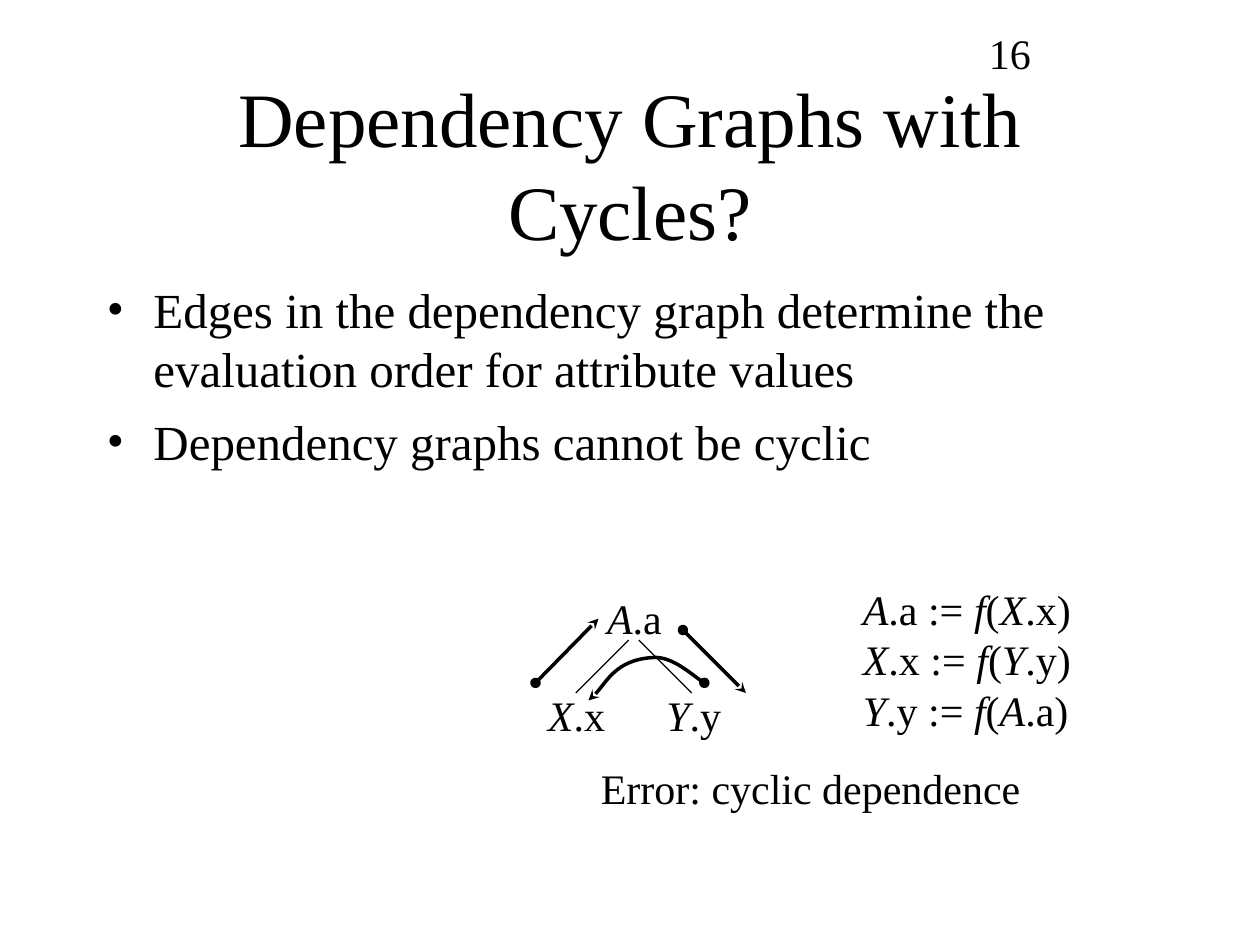
from dataclasses import dataclass
from lxml import etree
from pptx import Presentation
from pptx.dml.color import RGBColor
from pptx.enum import shapes, text
from pptx.oxml.ns import qn
from pptx.util import Inches, Pt

FONT = "Times New Roman"
COLORS = {"ink": "000000", "page": "FFFFFF"}
INK = RGBColor.from_string(COLORS["ink"])


@dataclass
class Label:
    """Text in which *stars* enclose italics."""
    lines: list[str]
    left: float
    top: float
    width: float
    height: float
    wrap: bool = False


@dataclass
class Edge:
    start: tuple[float, float]
    end: tuple[float, float]
    arrow: bool = False


def add_runs(para, line: str, size: int) -> None:
    for i, part in enumerate(line.split("*")):
        if part:
            run = para.add_run()
            run.text = part
            form = {"name": FONT, "size": Pt(size), "italic": i % 2 == 1}
            for key, value in form.items():
                setattr(run.font, key, value)
            run.font.color.rgb = INK


def add_box(slide, left: float, top: float, width: float, height: float, wrap: bool):
    box = slide.shapes.add_textbox(*map(Inches, (left, top, width, height)))
    box.text_frame.word_wrap = wrap
    return box.text_frame


def add_label(slide, item: Label) -> None:
    frame = add_box(slide, item.left, item.top, item.width, item.height, item.wrap)
    if not item.wrap:
        frame.auto_size = text.MSO_AUTO_SIZE.SHAPE_TO_FIT_TEXT
    para = frame.paragraphs[0]
    for i, line in enumerate(item.lines):
        if i:
            para.add_line_break()
        add_runs(para, line, 24)


def add_bullet(para) -> None:
    props = para._p.get_or_add_pPr()
    props.set("marL", str(Inches(0.37)))
    props.set("indent", str(-Inches(0.37)))
    etree.SubElement(props, qn("a:buFont"), typeface=FONT)
    etree.SubElement(props, qn("a:buChar"), char="•")


def style_line(shape, arrow: bool) -> None:
    shape.line.color.rgb = INK
    shape.line.width = Pt(2 if arrow else 0.75)
    if arrow:
        line = shape.line._get_or_add_ln()
        for tag, kind in (("a:headEnd", "oval"), ("a:tailEnd", "stealth")):
            etree.SubElement(line, qn(tag), type=kind)


def add_edge(slide, edge: Edge) -> None:
    ends = map(Inches, (*edge.start, *edge.end))
    line = slide.shapes.add_connector(shapes.MSO_CONNECTOR.STRAIGHT, *ends)
    style_line(line, edge.arrow)
    etree.SubElement(line._element.spPr, qn("a:effectLst"))


def add_curve(slide, knots: list[tuple[float, float]]) -> None:
    """Draw cubic curves through a start point and triples of knots."""
    points = [(Inches(x), Inches(y)) for x, y in knots]
    pen = slide.shapes.build_freeform(*points[0])
    pen.add_line_segments(points[1:], close=False)
    curve = pen.convert_to_shape()

    # Join each three straight segments into one cubic
    legs = list(curve._element.iter(qn("a:lnTo")))
    route = legs[0].getparent()
    for i in range(0, len(legs), 3):
        cubic = etree.SubElement(route, qn("a:cubicBezTo"))
        for leg in legs[i:i + 3]:
            cubic.append(leg[0])
            route.remove(leg)

    curve.fill.background()
    curve.shadow.inherit = False
    style_line(curve, True)


LABELS = [
    Label(["*A*.a := *f*(*X*.x)", "*X*.x := *f*(*Y*.y)", "*Y*.y := *f*(*A*.a)"],
          6.75, 4.58, 1.93, 1.3),
    Label(["*A*.a"], 4.72, 4.65, 0.67, 0.5),
    Label(["*X*.x"], 4.25, 5.42, 0.69, 0.5),
    Label(["*Y*.y"], 5.19, 5.42, 0.67, 0.5),
    Label(["Error: cyclic dependence"], 4.67, 6, 3.53, 0.5),
    Label(["16"], 7.75, 0.17, 2.08, 0.49, True),
]
EDGES = [
    Edge((4.99, 5.08), (4.57, 5.5)),
    Edge((5.07, 5.08), (5.49, 5.5)),
    Edge((4.25, 5.42), (4.75, 4.91), True),
    Edge((5.42, 5), (5.92, 5.5), True),
]
CURVE = [(5.59, 5.42), (5.52, 5.38), (5.32, 5.2), (5.17, 5.22),
         (4.89, 5.24), (4.77, 5.49), (4.67, 5.56)]
BULLETS = [
    "Edges in the dependency graph determine the evaluation order for attribute values",
    "Dependency graphs cannot be cyclic",
]


def main() -> None:
    deck = Presentation()
    deck.slide_width, deck.slide_height = Inches(10), Inches(7.5)
    slide = deck.slides.add_slide(deck.slide_layouts[5])
    slide.background.fill.solid()
    slide.background.fill.fore_color.rgb = RGBColor.from_string(COLORS["page"])

    # Title
    title = slide.shapes.title
    place = {"left": 0.75, "top": 0.67, "width": 8.5, "height": 1.25}
    for key, value in place.items():
        setattr(title, key, Inches(value))
    frame = title.text_frame
    form = {"word_wrap": True, "auto_size": text.MSO_AUTO_SIZE.NONE,
            "vertical_anchor": text.MSO_ANCHOR.MIDDLE}
    for key, value in form.items():
        setattr(frame, key, value)
    frame.paragraphs[0].alignment = text.PP_ALIGN.CENTER
    add_runs(frame.paragraphs[0], "Dependency Graphs with Cycles?", 44)

    # Bullets
    body = add_box(slide, 0.75, 2.17, 8.5, 4.5, True)
    for i, line in enumerate(BULLETS):
        para = body.add_paragraph() if i else body.paragraphs[0]
        para.space_before = Pt(8)
        add_bullet(para)
        add_runs(para, line, 28)

    # Dependency graph, rules and page number
    for item in LABELS:
        add_label(slide, item)
    for edge in EDGES:
        add_edge(slide, edge)
    add_curve(slide, CURVE)

    deck.save("out.pptx")


if __name__ == "__main__":
    main()
